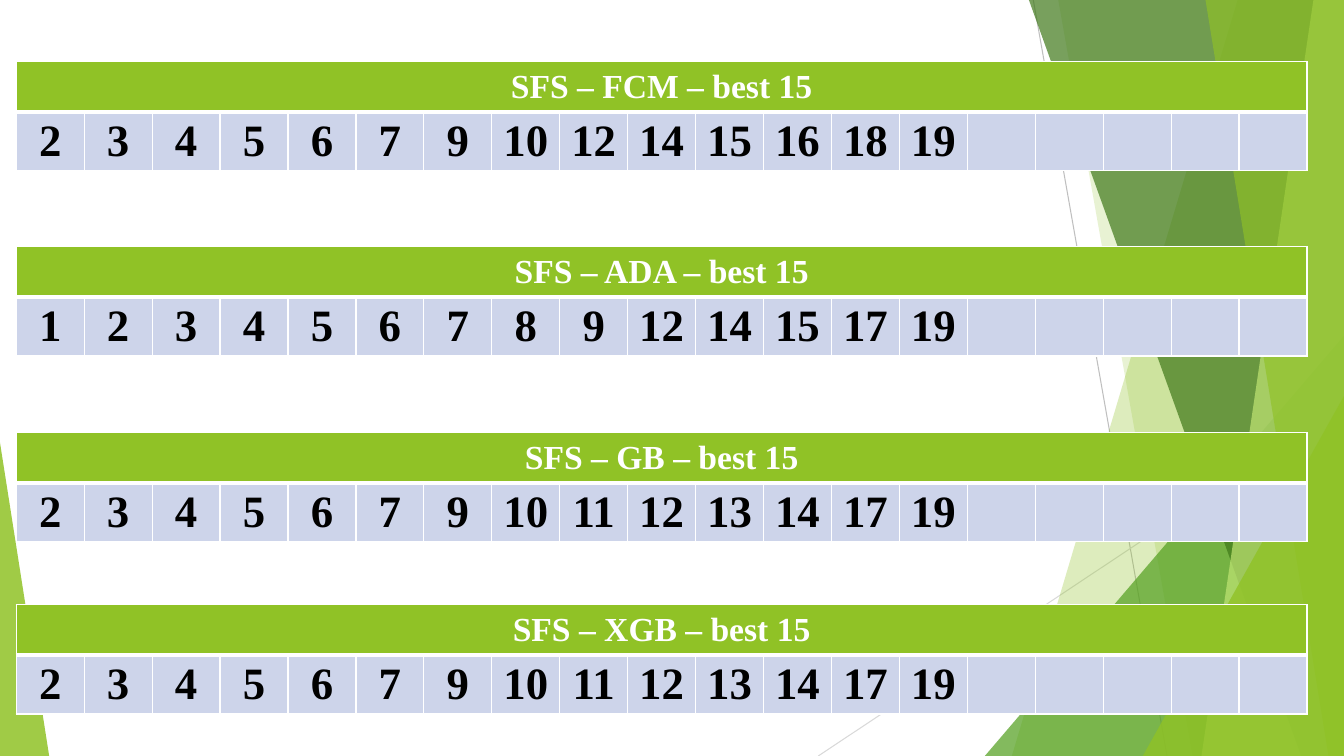
from lxml.etree import SubElement
from pptx import Presentation
from pptx.dml.color import RGBColor
from pptx.enum.shapes import MSO_CONNECTOR, MSO_SHAPE
from pptx.enum.text import MSO_ANCHOR, PP_ALIGN
from pptx.oxml.ns import qn
from pptx.util import Cm, Pt

WIDTH, HEIGHT = 33.87, 19.05
WHITE, BLACK, GREEN, LAVENDER = "FFFFFF", "000000", "90C226", "CDD4EA"
FEATURES = 19


def color(hex_code):
    return RGBColor.from_string(hex_code)


def write(cell, text, size=32, ink=BLACK, bold=True, font="Times New Roman"):
    paragraph = cell.text_frame.paragraphs[0]
    paragraph.alignment = PP_ALIGN.CENTER
    run = paragraph.add_run()
    run.text = text
    run.font.name = font
    run.font.size = Pt(size)
    run.font.bold = bold
    run.font.color.rgb = color(ink)


deck = Presentation()
deck.slide_width, deck.slide_height = Cm(WIDTH), Cm(HEIGHT)
slide = deck.slides.add_slide(deck.slide_layouts[6])

# Thin background lines
for x1, y1, x2, y2, gray in [
    (26.04, 0, 29.41, HEIGHT, "BFBFBF"),
    (WIDTH, 10.24, 20.62, HEIGHT, "D9D9D9"),
]:
    ray = slide.shapes.add_connector(
        MSO_CONNECTOR.STRAIGHT, Cm(x1), Cm(y1), Cm(x2), Cm(y2))
    ray.line.color.rgb = color(gray)
    ray.line.width = Pt(0.75)
    SubElement(ray._element.spPr, qn("a:effectLst"))

# Translucent facets, back to front. A band runs from its top x and bottom x
# to the right edge; a wedge has left, top, width and apex, and ends at the foot.
facets = [
    ("band", (31.19, 25.5), GREEN, 30),
    ("band", (26.67, 30.05), GREEN, 20),
    ("wedge", (24.82, 8.46, 9.05, 1), "54A021", 72),
    ("band", (25.93, 32.79), "3F7819", 70),
    ("band", (33.1, 30.28), "C0E474", 70),
    ("band", (30.38, 33.48), GREEN, 65),
    ("wedge", (28.8, 9.98, 5.07, 1), GREEN, 80),
    ("wedge", (0, 11.15, 1.24, 0), GREEN, 85),
]
for kind, geometry, tint, opacity in facets:
    if kind == "band":
        top_x, bottom_x = geometry
        outline = slide.shapes.build_freeform(Cm(top_x), 0)
        outline.add_line_segments([
            (Cm(WIDTH), 0), (Cm(WIDTH), Cm(HEIGHT)), (Cm(bottom_x), Cm(HEIGHT))])
        facet = outline.convert_to_shape()
    else:
        left, top, width, apex = geometry
        facet = slide.shapes.add_shape(
            MSO_SHAPE.ISOSCELES_TRIANGLE,
            Cm(left), Cm(top), Cm(width), Cm(HEIGHT - top))
        facet.adjustments[0] = apex
    facet.shadow.inherit = False
    facet.line.fill.background()
    facet.fill.solid()
    facet.fill.fore_color.rgb = color(tint)
    srgb = facet._element.spPr.find(qn("a:solidFill")).find(qn("a:srgbClr"))
    SubElement(srgb, qn("a:alpha"), val=str(opacity * 1000))

# Selected features per classifier
selections = [
    ("FCM", 1.55, [2, 3, 4, 5, 6, 7, 9, 10, 12, 14, 15, 16, 18, 19]),
    ("ADA", 6.22, [1, 2, 3, 4, 5, 6, 7, 8, 9, 12, 14, 15, 17, 19]),
    ("GB", 10.9, [2, 3, 4, 5, 6, 7, 9, 10, 11, 12, 13, 14, 17, 19]),
    ("XGB", 15.24, [2, 3, 4, 5, 6, 7, 9, 10, 11, 12, 13, 14, 17, 19]),
]
for classifier, top, features in selections:
    grid = slide.shapes.add_table(
        2, FEATURES, Cm(0.41), Cm(top), Cm(32.54), Cm(2.75)).table
    grid.rows[0].height, grid.rows[1].height = Cm(1.27), Cm(1.48)

    # Borders, fills and margins; the rule under the heading is thicker
    for row, (background, thick_side) in enumerate([(GREEN, "lnB"), (LAVENDER, "lnT")]):
        for column in range(FEATURES):
            cell = grid.cell(row, column)
            cell.margin_top = cell.margin_bottom = Cm(0.09)
            cell.margin_left = cell.margin_right = Cm(0.18)
            cell.vertical_anchor = MSO_ANCHOR.MIDDLE
            properties = cell._tc.get_or_add_tcPr()
            for side in ("lnL", "lnR", "lnT", "lnB"):
                weight = Pt(3 if side == thick_side else 1)
                border = SubElement(properties, qn(f"a:{side}"), w=str(weight))
                paint = SubElement(border, qn("a:solidFill"))
                SubElement(paint, qn("a:srgbClr"), val=WHITE)
            cell.fill.solid()
            cell.fill.fore_color.rgb = color(background)

    # Heading and feature numbers
    heading = grid.cell(0, 0)
    heading.merge(grid.cell(0, FEATURES - 1))
    write(heading, f"SFS – {classifier} – best 15", size=24, ink=WHITE)
    for column, feature in enumerate(features):
        write(grid.cell(1, column), str(feature))

deck.save("out.pptx")
